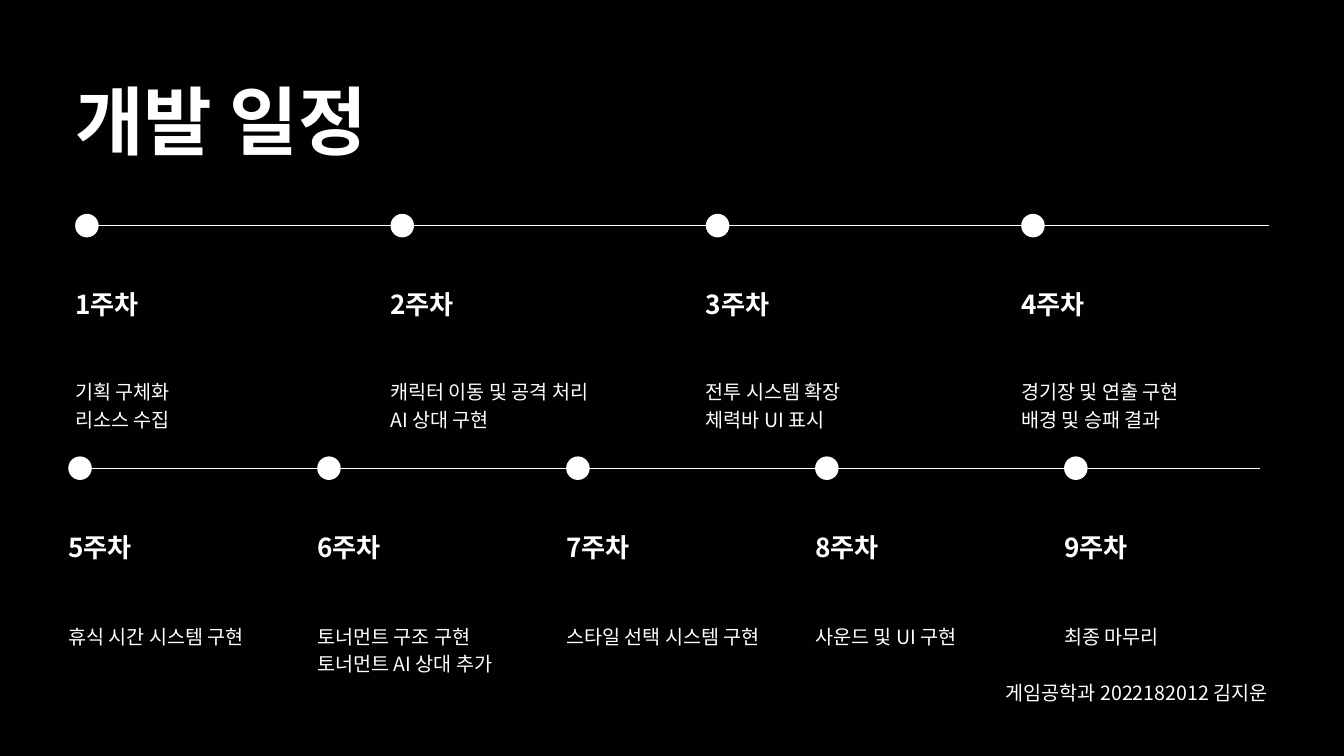
from dataclasses import dataclass

from pptx import Presentation
from pptx.dml.color import RGBColor
from pptx.enum.shapes import MSO_CONNECTOR, MSO_SHAPE
from pptx.enum.text import MSO_AUTO_SIZE, PP_ALIGN
from pptx.oxml.ns import qn
from pptx.oxml.xmlchemy import OxmlElement
from pptx.util import Cm, Pt


@dataclass(frozen=True)
class TextStyle:
    size: float
    leading: float
    bold: bool = False


@dataclass(frozen=True)
class Theme:
    background: RGBColor = RGBColor(0x01, 0x01, 0x01)
    foreground: RGBColor = RGBColor(0xFF, 0xFF, 0xFF)
    font: str = "Noto Sans CJK SC"
    title: TextStyle = TextStyle(80, 96, True)
    heading: TextStyle = TextStyle(28, 36.4, True)
    body: TextStyle = TextStyle(21, 29.4)
    line: float = 1.5


THEME = Theme()
DOT = 0.89
COLUMN_WIDTH = 9.35

FIRST_WEEKS = [
    ("1주차", ["기획 구체화", "리소스 수집"]),
    ("2주차", ["캐릭터 이동 및 공격 처리", "AI 상대 구현"]),
    ("3주차", ["전투 시스템 확장", "체력바 UI 표시"]),
    ("4주차", ["경기장 및 연출 구현", "배경 및 승패 결과"]),
]
LATER_WEEKS = [
    ("5주차", ["휴식 시간 시스템 구현"]),
    ("6주차", ["토너먼트 구조 구현", "토너먼트 AI 상대 추가"]),
    ("7주차", ["스타일 선택 시스템 구현"]),
    ("8주차", ["사운드 및 UI 구현"]),
    ("9주차", ["최종 마무리"]),
]


def add_text(s, box, lines, style, align=PP_ALIGN.LEFT):
    tf = s.shapes.add_textbox(*map(Cm, box)).text_frame
    tf.margin_left = tf.margin_top = tf.margin_right = tf.margin_bottom = 0
    tf.word_wrap = True
    tf.auto_size = MSO_AUTO_SIZE.SHAPE_TO_FIT_TEXT
    for i, line in enumerate(lines):
        p = tf.paragraphs[0] if i == 0 else tf.add_paragraph()
        p.alignment = align
        p.line_spacing = Pt(style.leading)
        p.add_run().text = line
        p.font.size = Pt(style.size)
        p.font.bold = style.bold
        p.font.name = THEME.font
        p.font.color.rgb = THEME.foreground
        ea = OxmlElement("a:ea")
        ea.set("typeface", THEME.font)
        p._p.pPr.find(qn("a:defRPr")).append(ea)


def add_rule(s, left, right, y):
    rule = s.shapes.add_connector(
        MSO_CONNECTOR.STRAIGHT, Cm(left), Cm(y), Cm(right), Cm(y))
    rule.line.color.rgb = THEME.foreground
    rule.line.width = Pt(THEME.line)
    rule._element.spPr.append(OxmlElement("a:effectLst"))


def add_dot(s, left, y):
    dot = s.shapes.add_shape(
        MSO_SHAPE.OVAL, Cm(left), Cm(y - DOT / 2), Cm(DOT), Cm(DOT))
    dot.shadow.inherit = False
    dot.fill.solid()
    dot.fill.fore_color.rgb = THEME.foreground
    dot.line.fill.background()


def add_timeline(s, left, y, width, pitch, body_offset, weeks):
    add_rule(s, left + DOT / 2, left + width, y)
    for i, (week, tasks) in enumerate(weeks):
        x = left + i * pitch
        add_dot(s, x, y)
        add_text(s, (x, y + 2.29, COLUMN_WIDTH, 1.24), [week], THEME.heading)
        add_text(s, (x, y + body_offset, COLUMN_WIDTH, 1.02 * len(tasks)),
                 tasks, THEME.body)


def add_schedule_slide(prs):
    s = prs.slides.add_slide(prs.slide_layouts[6])
    s.background.fill.solid()
    s.background.fill.fore_color.rgb = THEME.background
    add_text(s, (2.84, 2.82, 45.1, 3.4), ["개발 일정"], THEME.title)
    add_timeline(s, 2.84, 8.53, 45.12, 11.92, 5.69, FIRST_WEEKS)
    add_timeline(s, 2.58, 17.7, 45.05, 9.41, 5.77, LATER_WEEKS)
    add_text(s, (38, 25.6, 9.93, 1), ["게임공학과 2022182012 김지운"],
             THEME.body, PP_ALIGN.CENTER)


def main():
    prs = Presentation()
    prs.slide_width = Cm(50.8)
    prs.slide_height = Cm(28.58)
    add_schedule_slide(prs)
    prs.save("out.pptx")


if __name__ == "__main__":
    main()
